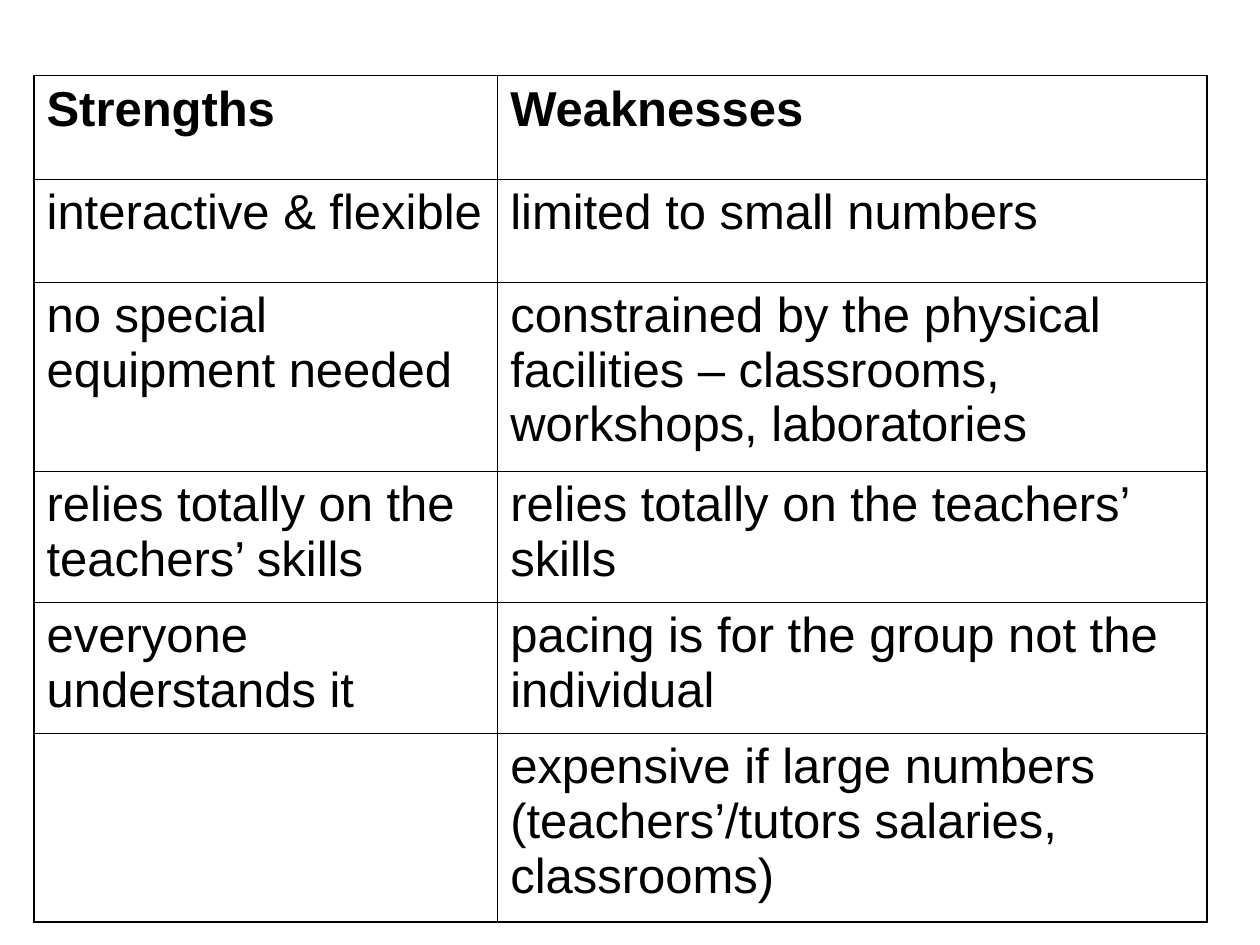
from typing import NamedTuple

import pptx
import pptx.dml.color
import pptx.oxml
import pptx.oxml.ns
import pptx.table
import pptx.util

Inches = pptx.util.Inches
Pt = pptx.util.Pt
BLACK = pptx.dml.color.RGBColor(0, 0, 0)
FONT = "Arial"
OUTER, INNER = Pt(1.08), Pt(0.45)
COLUMN_WIDTHS = (3.68, 5.63)


class Row(NamedTuple):
    strength: str
    weakness: str
    height: float


ROWS = (
    Row("Strengths", "Weaknesses", 0.82),
    Row("interactive & flexible", "limited to small numbers", 0.82),
    Row("no special equipment needed",
        "constrained by the physical facilities – classrooms, workshops, laboratories", 1.5),
    Row("relies totally on the teachers’ skills",
        "relies totally on the teachers’ skills", 1.04),
    Row("everyone understands it", "pacing is for the group not the individual", 1.04),
    Row("", "expensive if large numbers (teachers’/tutors salaries, classrooms)", 1.5),
)


def write_text(cell: pptx.table._Cell, text: str, *, size: float = 28,
               bold: bool = False) -> None:
    para = cell.text_frame.paragraphs[0]
    para.font.size = Pt(size)
    span = para.add_run()
    span.text = text
    span.font.name = FONT
    span.font.size = Pt(size)
    span.font.bold = bold
    span.font.color.rgb = BLACK


def draw_borders(cell: pptx.table._Cell, outer_sides: dict[str, bool]) -> None:
    """Give each side the outer or the inner line width."""
    properties = cell._tc.get_or_add_tcPr()
    for side, is_outer in outer_sides.items():
        width = OUTER if is_outer else INNER
        properties.append(pptx.oxml.parse_xml(
            f'<a:ln{side} {pptx.oxml.ns.nsdecls("a")} w="{int(width)}">'
            f'<a:solidFill><a:srgbClr val="{BLACK}"/></a:solidFill></a:ln{side}>'))


def main() -> None:
    deck = pptx.Presentation()
    deck.slide_width, deck.slide_height = Inches(10), Inches(7.5)
    page = deck.slides.add_slide(deck.slide_layouts[6])

    # Table grid
    frame = page.shapes.add_table(
        len(ROWS), len(COLUMN_WIDTHS), Inches(0.27), Inches(0.6),
        Inches(sum(COLUMN_WIDTHS)), Inches(sum(row.height for row in ROWS)))
    table = frame.table
    table.first_row = table.horz_banding = False
    for column, width in zip(table.columns, COLUMN_WIDTHS):
        column.width = Inches(width)

    # Cells: the heading row is bold, the table's edge is heavier
    last_row, last_column = len(ROWS) - 1, len(COLUMN_WIDTHS) - 1
    for r, row in enumerate(ROWS):
        table.rows[r].height = Inches(row.height)
        for c, text in enumerate((row.strength, row.weakness)):
            cell = table.cell(r, c)
            if text:
                write_text(cell, text, bold=r == 0)
            draw_borders(cell, {"L": c == 0, "R": c == last_column,
                                "T": r == 0, "B": r == last_row})
            cell.fill.background()

    deck.save("out.pptx")


if __name__ == "__main__":
    main()
